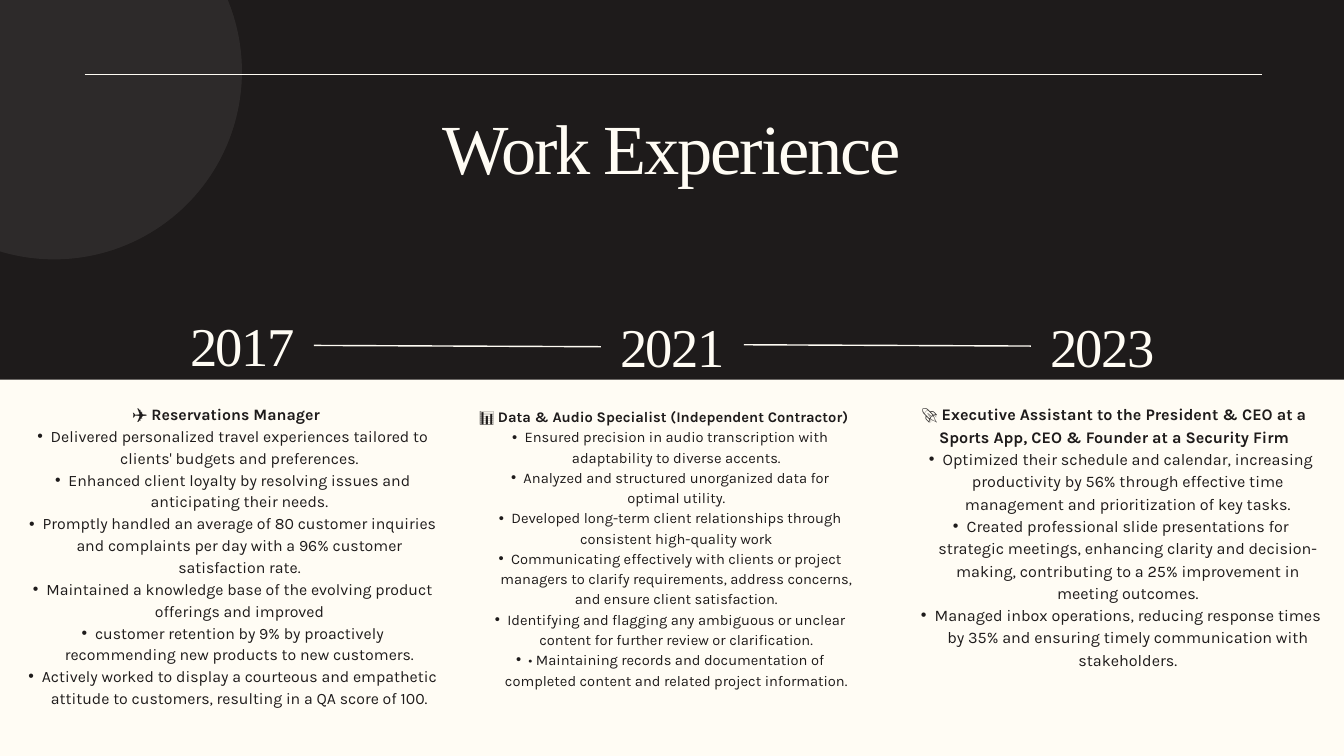
from dataclasses import dataclass
from typing import Any

from lxml import etree
from pptx import Presentation
from pptx import util as u
from pptx.dml.color import RGBColor
from pptx.enum import shapes, text
from pptx.oxml import ns

COLORS = {"ink": "1E1B1B", "cream": "FFFCF4"}
SERIF, SANS = "Times New Roman", "Karla"
YEAR_LEFT, YEAR_STEP, YEAR_WIDTH = 182.9, 460.8, 153.4


@dataclass
class Box:
    left: float
    top: float
    width: float
    height: float

    def lengths(self) -> list[u.Length]:
        return [u.Pt(value) for value in (self.left, self.top, self.width, self.height)]


@dataclass
class Year:
    label: str
    top: float
    rule_top: float | None = None


@dataclass
class Job:
    box: Box
    size: float
    spacing: float
    indent: float
    heading: str
    duties: list[str]


YEARS = [Year("2017", 334.1, 370.1), Year("2021", 335.5, 369.4), Year("2023", 334.8)]

JOBS = [
    Job(Box(11.5, 430.6, 461.5, 350.6), 17, 23.4, 28.8, "✈️ Reservations Manager", [
        "Delivered personalized travel experiences tailored to clients' budgets and preferences.",
        "Enhanced client loyalty by resolving issues and anticipating their needs.",
        "Promptly handled an average of 80 customer inquiries and complaints per day "
        "with a 96% customer satisfaction rate.",
        "Maintained a knowledge base of the evolving product offerings and improved",
        "customer retention by 9% by proactively recommending new products to new customers.",
        "Actively worked to display a courteous and empathetic attitude to customers, "
        "resulting in a QA score of 100.",
    ]),
    Job(Box(506.9, 434.2, 409, 321.8), 15.7, 21.7, 26.6,
        "📊 Data & Audio Specialist (Independent Contractor)", [
        "Ensured precision in audio transcription with adaptability to diverse accents.",
        "Analyzed and structured unorganized data for optimal utility.",
        "Developed long-term client relationships through consistent high-quality work",
        "Communicating effectively with clients or project managers to clarify requirements, "
        "address concerns, and ensure client satisfaction.",
        "Identifying and flagging any ambiguous or unclear content for further review "
        "or clarification.",
        "• Maintaining records and documentation of completed content and related "
        "project information.",
    ]),
    Job(Box(969.8, 430.6, 447.8, 283), 17.3, 23.9, 29.5,
        "🚀 Executive Assistant to the President & CEO at "
        "a Sports App, CEO & Founder at a Security Firm", [
        "Optimized their schedule and calendar, increasing productivity by 56% through "
        "effective time management and prioritization of key tasks.",
        "Created professional slide presentations for strategic meetings, enhancing clarity "
        "and decision-making, contributing to a 25% improvement in meeting outcomes.",
        "Managed inbox operations, reducing response times by 35% and ensuring timely "
        "communication with stakeholders.",
    ]),
]


def color(name: str) -> RGBColor:
    return RGBColor.from_string(COLORS[name])


def apply(target: Any, values: dict[str, Any]) -> None:
    for name, value in values.items():
        setattr(target, name, value)


def add_block(slide: Any, kind: Any, box: Box, opacity: int = 100) -> None:
    shape = slide.shapes.add_shape(kind, *box.lengths())
    shape.shadow.inherit = False
    shape.line.fill.background()
    shape.fill.solid()
    shape.fill.fore_color.rgb = color("cream")
    if opacity < 100:
        fill_color = shape.fill._xPr.find(".//" + ns.qn("a:srgbClr"))
        etree.SubElement(fill_color, ns.qn("a:alpha"), val=str(opacity * 1000))


def add_rule(slide: Any, left: float, top: float, right: float, bottom: float) -> None:
    ends = [u.Pt(value) for value in (left, top, right, bottom)]
    connector = slide.shapes.add_connector(shapes.MSO_CONNECTOR.STRAIGHT, *ends)
    connector.line.color.rgb = color("cream")
    connector.line.width = u.Pt(1.5)
    etree.SubElement(connector._element.spPr, ns.qn("a:effectLst"))


def add_frame(slide: Any, box: Box) -> Any:
    frame = slide.shapes.add_textbox(*box.lengths()).text_frame
    apply(frame, {"margin_left": 0, "margin_top": 0, "margin_right": 0,
                  "margin_bottom": 0, "word_wrap": True})
    return frame


def write(paragraph: Any, words: str, spacing: float, font: dict[str, Any]) -> Any:
    apply(paragraph, {"alignment": text.PP_ALIGN.CENTER, "line_spacing": u.Pt(spacing)})
    run = paragraph.add_run()
    run.text = words
    apply(run.font, {key: value for key, value in font.items() if key != "color"})
    run.font.color.rgb = color(font["color"])
    return run


def add_display(slide: Any, box: Box, words: str, size: float, tracking: float) -> None:
    font = {"name": SERIF, "size": u.Pt(size), "color": "cream"}
    run = write(add_frame(slide, box).paragraphs[0], words, size * 1.2, font)
    run._r.get_or_add_rPr().set("spc", str(round(tracking * 100)))


def add_bullet(paragraph: Any, indent: float) -> None:
    paragraph.level = 1
    properties = paragraph._p.get_or_add_pPr()
    properties.set("marL", str(u.Pt(indent)))
    properties.set("indent", str(-u.Pt(indent / 2)))
    etree.SubElement(properties, ns.qn("a:buFont"), typeface="Arial")
    etree.SubElement(properties, ns.qn("a:buChar"), char="•")


def add_job(slide: Any, job: Job) -> None:
    frame = add_frame(slide, job.box)
    font = {"name": SANS, "size": u.Pt(job.size), "color": "ink"}
    write(frame.paragraphs[0], job.heading, job.spacing, font | {"bold": True})
    for duty in job.duties:
        paragraph = frame.add_paragraph()
        add_bullet(paragraph, job.indent)
        write(paragraph, duty, job.spacing, font | {"bold": False})


def main() -> None:
    presentation = Presentation()
    apply(presentation, {"slide_width": u.Pt(1440), "slide_height": u.Pt(810)})
    slide = presentation.slides.add_slide(presentation.slide_layouts[6])
    slide.background.fill.solid()
    slide.background.fill.fore_color.rgb = color("ink")

    add_block(slide, shapes.MSO_SHAPE.OVAL, Box(-143.3, -124.6, 402.5, 402.5), opacity=7)
    add_block(slide, shapes.MSO_SHAPE.RECTANGLE, Box(-31.7, 406.8, 1503.4, 403.2))
    add_rule(slide, 90.7, 79.9, 1352.2, 79.9)
    add_display(slide, Box(345.6, 111.6, 748.1, 90), "Work Experience", 75.4, -2.3)

    for index, year in enumerate(YEARS):
        left = YEAR_LEFT + index * YEAR_STEP
        add_display(slide, Box(left, year.top, YEAR_WIDTH, 70.6), year.label, 58.5, -1.8)
        if year.rule_top is not None:
            add_rule(slide, left + YEAR_WIDTH, year.rule_top,
                     left + YEAR_STEP, year.rule_top + 1.4)

    for job in JOBS:
        add_job(slide, job)

    presentation.save("out.pptx")


if __name__ == "__main__":
    main()
